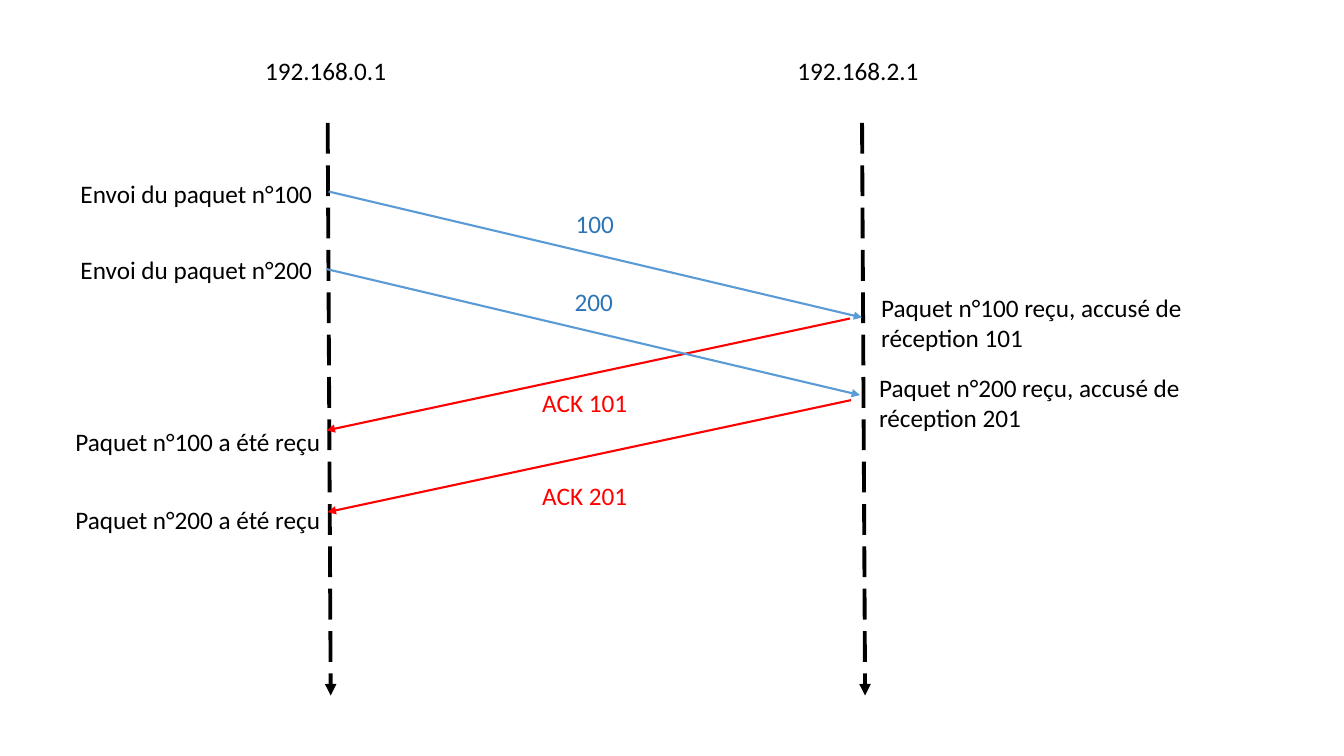
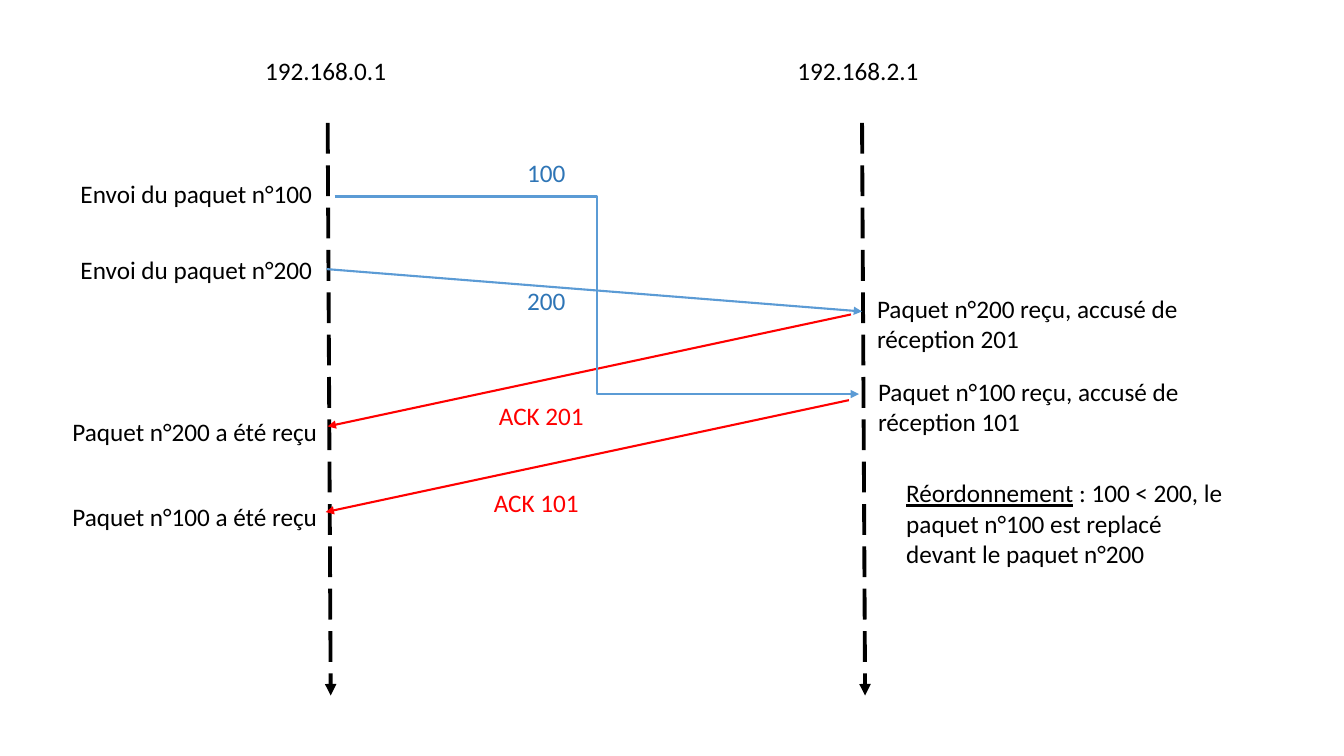
"""Build two packet sequence diagrams: ordered delivery and reordering."""
from dataclasses import dataclass

from pptx import Presentation
from pptx.dml.color import RGBColor
from pptx.enum.dml import MSO_LINE
from pptx.enum.shapes import MSO_CONNECTOR
from pptx.enum.text import MSO_AUTO_SIZE
from pptx.oxml.ns import qn
from pptx.slide import Slide
from pptx.util import Inches, Pt
from lxml import etree

STRAIGHT = MSO_CONNECTOR.STRAIGHT
ELBOW = MSO_CONNECTOR.ELBOW
DASH = MSO_LINE.LONG_DASH
GROW = MSO_AUTO_SIZE.SHAPE_TO_FIT_TEXT
BLANK = 6


@dataclass(frozen=True)
class Theme:
    font: str = "Calibri"
    size: float = 18
    axis: float = 2.75
    thin: float = 1.5
    ink: str = "000000"
    send: str = "5B9BD5"
    name: str = "2E75B6"
    ack: str = "FF0000"


THEME = Theme()


@dataclass(frozen=True)
class Label:
    text: str
    left: float
    top: float
    width: float
    height: float = 0.4
    color: str = THEME.ink
    lead: str = ""


@dataclass(frozen=True)
class Arrow:
    start: tuple[float, float]
    end: tuple[float, float]
    color: str = THEME.ink
    width: float = THEME.thin
    dashed: bool = False
    bent: bool = False


def host(text: str, left: float) -> Label:
    return Label(text, left, 0.5, 1.49, 0.41)


def sent(num: int, top: float) -> Label:
    return Label(f"Envoi du paquet n°{num}", 0.7, top, 2.53)


def got(num: int, left: float, top: float) -> Label:
    return Label(f"Paquet n°{num} reçu, accusé de réception {num + 1}",
                 left, top, 3.25, 0.71)


def done(num: int, left: float, top: float) -> Label:
    return Label(f"Paquet n°{num} a été reçu", left, top, 2.64)


def tag(num: int, left: float, top: float) -> Label:
    return Label(str(num), left, top, 0.61, color=THEME.name)


def reply(num: int, left: float, top: float) -> Label:
    return Label(f"ACK {num + 1}", left, top, 1.27, color=THEME.ack)


def axis(left: float) -> Arrow:
    return Arrow((left, 1.22), (left + 0.03, 6.9), width=THEME.axis, dashed=True)


def packet(start: tuple[float, float], end: tuple[float, float],
           bent: bool = False) -> Arrow:
    return Arrow(start, end, THEME.send, bent=bent)


def back(left: float, top: float) -> Arrow:
    return Arrow((left, top), (left - 5.19, top + 1.11), THEME.ack)


FRAME = [axis(3.25), axis(8.55), host("192.168.0.1", 2.53),
         host("192.168.2.1", 7.81), sent(100, 1.72), sent(200, 2.47)]

ORDERED = [
    back(8.43, 3.16), back(8.44, 3.97),
    packet((3.26, 1.9), (8.55, 3.15)), packet((3.24, 2.67), (8.53, 3.92)),
    got(100, 8.64, 2.85), got(200, 8.62, 3.64),
    done(100, 0.65, 4.18), done(200, 0.65, 4.95),
    tag(100, 5.61, 2.02), tag(200, 5.6, 2.79),
    reply(100, 5.28, 3.79), reply(200, 5.28, 4.72),
]

SWAPPED = [
    back(8.44, 3.12), back(8.42, 3.97),
    packet((3.24, 2.67), (8.55, 3.09)),
    packet((3.32, 1.95), (8.52, 3.91), bent=True),
    got(200, 8.6, 2.86), got(100, 8.61, 3.68),
    done(200, 0.62, 4.08), done(100, 0.62, 4.92),
    tag(100, 5.13, 1.51), tag(200, 5.13, 2.78),
    reply(200, 4.85, 3.92), reply(100, 4.8, 4.79),
    Label(" : 100 < 200, le paquet n°100 est replacé devant le paquet n°200",
          8.89, 4.69, 3.4, 1.01, lead="Réordonnement"),
]


def draw_label(slide: Slide, item: Label) -> None:
    box = slide.shapes.add_textbox(Inches(item.left), Inches(item.top),
                                   Inches(item.width), Inches(item.height))
    frame = box.text_frame
    frame.word_wrap = True
    frame.auto_size = GROW
    para = frame.paragraphs[0]
    para.font.name = THEME.font
    para.font.size = Pt(THEME.size)
    para.font.color.rgb = RGBColor.from_string(item.color)
    if item.lead:
        lead = para.add_run()
        lead.text = item.lead
        lead.font.underline = True
    para.add_run().text = item.text


def draw_arrow(slide: Slide, item: Arrow) -> None:
    ends = [Inches(value) for value in (*item.start, *item.end)]
    link = slide.shapes.add_connector(ELBOW if item.bent else STRAIGHT, *ends)
    line = link.line
    line.color.rgb = RGBColor.from_string(item.color)
    line.width = Pt(item.width)
    if item.dashed:
        line.dash_style = DASH
    props = link._element.spPr
    etree.SubElement(props.find(qn("a:ln")), qn("a:tailEnd"), type="triangle")
    etree.SubElement(props, qn("a:effectLst"))


def draw(slide: Slide, items: list[Label | Arrow]) -> None:
    for item in items:
        if isinstance(item, Arrow):
            draw_arrow(slide, item)
        else:
            draw_label(slide, item)


def main() -> None:
    deck = Presentation()
    deck.slide_width = Inches(13.33)
    deck.slide_height = Inches(7.5)
    for items in (ORDERED, SWAPPED):
        draw(deck.slides.add_slide(deck.slide_layouts[BLANK]), FRAME + items)
    deck.save("out.pptx")


main()
